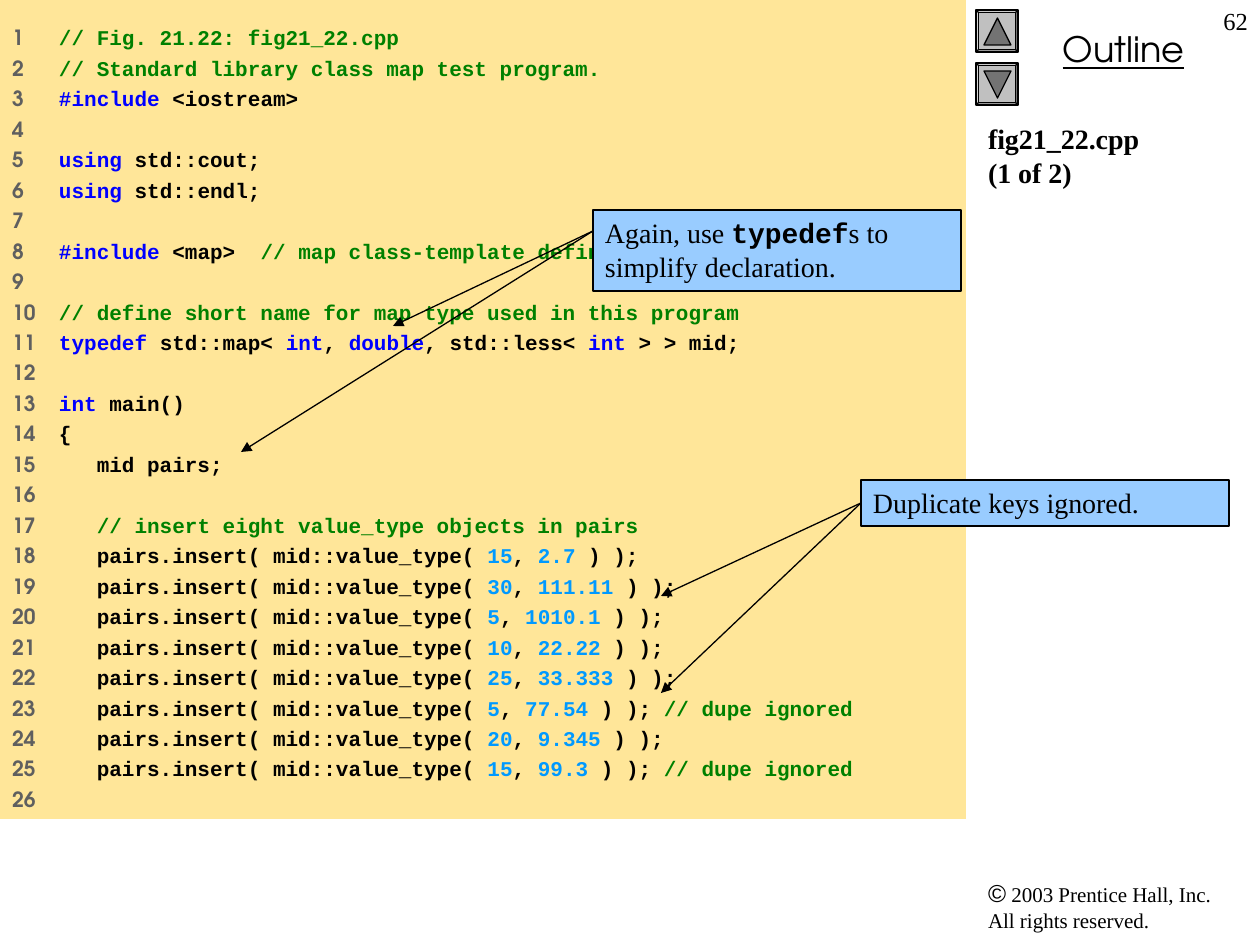
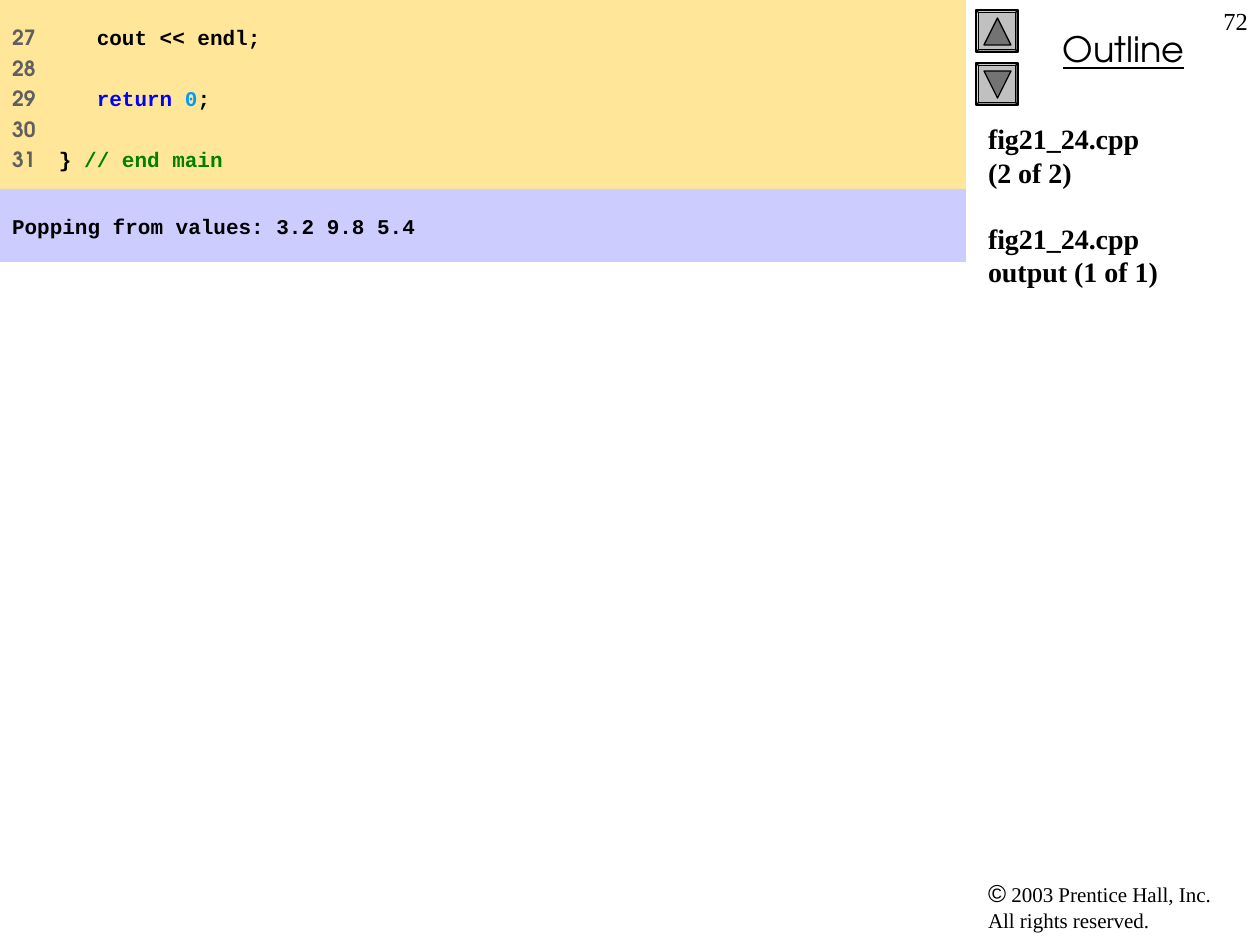
"""Builds two code-listing slides with an outline column."""
import itertools

import pptx
import pptx.dml.color
import pptx.enum.shapes
import pptx.enum.text
import pptx.oxml
import pptx.oxml.ns
import pptx.util

EMU_PER_PIXEL = 914400 / 126
COLORS = {
    "black": "000000",
    "white": "FFFFFF",
    "code_panel": "FFE699",
    "output_panel": "CCCCFF",
    "callout": "99CCFF",
    "button": "C0C0C0",
    "button_arrow": "737373",
    "line_number": "5F5F5F",
    "comment": "008000",
    "keyword": "0000FF",
    "literal": "0099FF",
}
HEADING_FONT, CODE_FONT, BODY_FONT = "TeX Gyre Adventor", "Courier New", "Times New Roman"
STYLES = {
    "outline": (HEADING_FONT, 20, "black", False),
    "line_number": (HEADING_FONT, 12, "line_number", True),
    "plain": (CODE_FONT, 12, "black", True),
    "comment": (CODE_FONT, 12, "comment", True),
    "keyword": (CODE_FONT, 12, "keyword", True),
    "literal": (CODE_FONT, 12, "literal", True),
    "title": (BODY_FONT, 16, "black", True),
    "callout": (BODY_FONT, 16, "black", False),
    "callout_code": (CODE_FONT, 16, "black", True),
    "page_number": (BODY_FONT, 14, "black", False),
    "copyright": (BODY_FONT, 12, "black", False),
    "copyright_sign": ("Arial", 14, "black", False),
}
KEYWORDS = {"#include", "using", "typedef", "int", "double", "return"}
PANEL_WIDTH = 966
CODE_TAB = 47
PAIRS = [("15", "2.7"), ("30", "111.11"), ("5", "1010.1"), ("10", "22.22"),
         ("25", "33.333"), ("5", "77.54"), ("20", "9.345"), ("15", "99.3")]
DUPLICATE_INDEXES = {5, 7}
MAP_CODE = [
    "// Fig. 21.22: fig21_22.cpp",
    "// Standard library class map test program.",
    "#include <iostream>",
    "",
    "using std::cout;",
    "using std::endl;",
    "",
    "#include <map>  // map class-template definition",
    "",
    "// define short name for map type used in this program",
    "typedef std::map< int, double, std::less< int > > mid;",
    "",
    "int main()",
    "{",
    "   mid pairs;",
    "",
    "   // insert eight value_type objects in pairs",
    *[f"   pairs.insert( mid::value_type( {key}, {value} ) );"
      + (" // dupe ignored" if index in DUPLICATE_INDEXES else "")
      for index, (key, value) in enumerate(PAIRS)],
    "",
]
ENDING_CODE = ["   cout << endl;", "", "   return 0;", "", "} // end main"]


def pixels(length):
    return pptx.util.Emu(round(length * EMU_PER_PIXEL))


def color(name):
    return pptx.dml.color.RGBColor.from_string(COLORS[name])


def token_style(token):
    if token in KEYWORDS:
        return "keyword"
    return "literal" if token[0].isdigit() else "plain"


def highlight(code):
    statement, slashes, comment = code.partition("//")
    words = itertools.groupby(statement, lambda letter: letter.isalnum() or letter in "#._")
    tokens = ["".join(letters) for _, letters in words]
    runs = [("".join(group), style) for style, group in itertools.groupby(tokens, token_style)]
    return runs + ([(slashes + comment, "comment")] if slashes else [])


class Deck:
    """Holds the presentation style and the current slide."""

    def __init__(self):
        self.presentation = pptx.Presentation()
        self.presentation.slide_width = pixels(1260)
        self.presentation.slide_height = pixels(945)
        self.slide = None

    def format_run(self, run, style):
        font = run.font
        font.name, size, color_name, font.bold = STYLES[style]
        font.size = pptx.util.Pt(size)
        font.color.rgb = color(color_name)

    def prepare_frame(self, text_frame, vertical_inset=6):
        text_frame.word_wrap = True
        text_frame.auto_size = pptx.enum.text.MSO_AUTO_SIZE.NONE
        text_frame.vertical_anchor = pptx.enum.text.MSO_ANCHOR.TOP
        text_frame.margin_left = text_frame.margin_right = pixels(12)
        text_frame.margin_top = text_frame.margin_bottom = pixels(vertical_inset)

    def add_runs(self, paragraph, runs, align=pptx.enum.text.PP_ALIGN.LEFT):
        paragraph.alignment = align
        for text, style in runs:
            if text == "\v":
                paragraph.add_line_break()
                continue
            run = paragraph.add_run()
            run.text = text
            self.format_run(run, style)

    def shape(self, kind, bounds, fill, line=None):
        shape = self.slide.shapes.add_shape(kind, *map(pixels, bounds))
        shape.shadow.inherit = False
        shape.fill.solid()
        shape.fill.fore_color.rgb = color(fill)
        if line:
            shape.line.color.rgb = color(line)
            shape.line.width = pptx.util.Pt(0.75)
        else:
            shape.line.fill.background()
        return shape

    def rectangle(self, bounds, fill, line=None):
        return self.shape(pptx.enum.shapes.MSO_SHAPE.RECTANGLE, bounds, fill, line)

    def label(self, bounds, runs, align=pptx.enum.text.PP_ALIGN.LEFT):
        text_frame = self.slide.shapes.add_textbox(*map(pixels, bounds)).text_frame
        self.prepare_frame(text_frame)
        self.add_runs(text_frame.paragraphs[0], runs, align)
        return text_frame

    def title(self, text):
        title = self.slide.shapes.title
        title.left, title.top, title.width, title.height = map(pixels, (976, 116, 284, 661))
        title.text_frame.text = text
        self.prepare_frame(title.text_frame)
        for index, paragraph in enumerate(title.text_frame.paragraphs):
            paragraph.alignment = pptx.enum.text.PP_ALIGN.LEFT
            paragraph.space_before = pptx.util.Pt(18.4 if index else 0)
            for run in paragraph.runs:
                self.format_run(run, "title")

    def button(self, top, rotation):
        kinds = pptx.enum.shapes.MSO_SHAPE
        bevel = self.shape(kinds.BEVEL, (976, top, 42, 42), "button", "black")
        bevel.adjustments[0] = 0.06
        arrow = self.shape(kinds.ISOSCELES_TRIANGLE, (984, top + 8, 27, 27),
                           "button_arrow", "black")
        arrow.rotation = rotation

    def start_slide(self, page_number, title):
        self.slide = self.presentation.slides.add_slide(self.presentation.slide_layouts[5])
        self.slide.background.fill.solid()
        self.slide.background.fill.fore_color.rgb = color("white")
        self.title(title)
        self.label((976, 872, 273, 68), [
            ("©", "copyright_sign"), (" 2003 Prentice Hall, Inc.", "copyright"),
            ("\v", "copyright"), ("All rights reserved.", "copyright")])
        outline = self.label((987, 21, 273, 55), [("Outline", "outline")],
                             pptx.enum.text.PP_ALIGN.CENTER)
        outline.paragraphs[0].runs[0].font.underline = True
        self.button(10, 0)
        self.button(63, 180)
        self.label((1197, 0, 63, 63), [(str(page_number), "page_number")],
                   pptx.enum.text.PP_ALIGN.RIGHT)

    def panel(self, top, height, fill, lines):
        text_frame = self.rectangle((0, top, PANEL_WIDTH, height), fill).text_frame
        self.prepare_frame(text_frame, 25)
        for index, runs in enumerate(lines):
            paragraph = text_frame.add_paragraph() if index else text_frame.paragraphs[0]
            paragraph.space_before = pptx.util.Pt(3 if index else 0)
            self.add_runs(paragraph, runs)
        return text_frame

    def code(self, height, first_number, code_lines):
        lines = [[(f"{number}\t" if code else str(number), "line_number"), *highlight(code)]
                 for number, code in enumerate(code_lines, first_number)]
        namespace = pptx.oxml.ns.nsdecls("a")
        for paragraph in self.panel(0, height, "code_panel", lines).paragraphs:
            paragraph._p.get_or_add_pPr().append(pptx.oxml.parse_xml(
                f'<a:tabLst {namespace}><a:tab pos="{pixels(CODE_TAB)}" algn="l"/></a:tabLst>'))

    def arrow(self, start, end, box=None):
        connector = self.slide.shapes.add_connector(
            pptx.enum.shapes.MSO_CONNECTOR.STRAIGHT, *map(pixels, start + end))
        if box is not None:
            connector.begin_connect(box, 1)
        connector.line.color.rgb = color("black")
        connector.line.width = pptx.util.Pt(0.75)
        namespace = pptx.oxml.ns.nsdecls("a")
        connector.line._get_or_add_ln().append(
            pptx.oxml.parse_xml(f'<a:tailEnd {namespace} type="triangle"/>'))
        connector._element.spPr.append(pptx.oxml.parse_xml(f"<a:effectLst {namespace}/>"))

    def callout(self, bounds, runs, targets, start_offset=None):
        box = self.rectangle(bounds, "callout", "black")
        self.prepare_frame(box.text_frame)
        self.add_runs(box.text_frame.paragraphs[0], runs)
        left, top, _, height = bounds
        joined_box = box if start_offset is None else None
        start = (left, top + (height // 2 if start_offset is None else start_offset))
        for target in targets:
            self.arrow(start, target, joined_box)


def main():
    deck = Deck()

    deck.start_slide(62, "fig21_22.cpp\v(1 of 2)")
    deck.code(819, 1, MAP_CODE)
    deck.callout((593, 210, 368, 81),
                 [("Again, use ", "callout"), ("typedef", "callout_code"),
                  ("s to simplify declaration.", "callout")],
                 [(393, 326), (241, 452)], start_offset=21)
    deck.callout((861, 480, 368, 46), [("Duplicate keys ignored.", "callout")],
                 [(661, 596), (661, 693)])

    deck.start_slide(72, "fig21_24.cpp\v(2 of 2)\nfig21_24.cpp\voutput (1 of 1)")
    deck.code(189, 27, ENDING_CODE)
    deck.panel(189, 73, "output_panel", [[("Popping from values: 3.2 9.8 5.4", "plain")]])

    deck.presentation.save("out.pptx")


if __name__ == "__main__":
    main()
